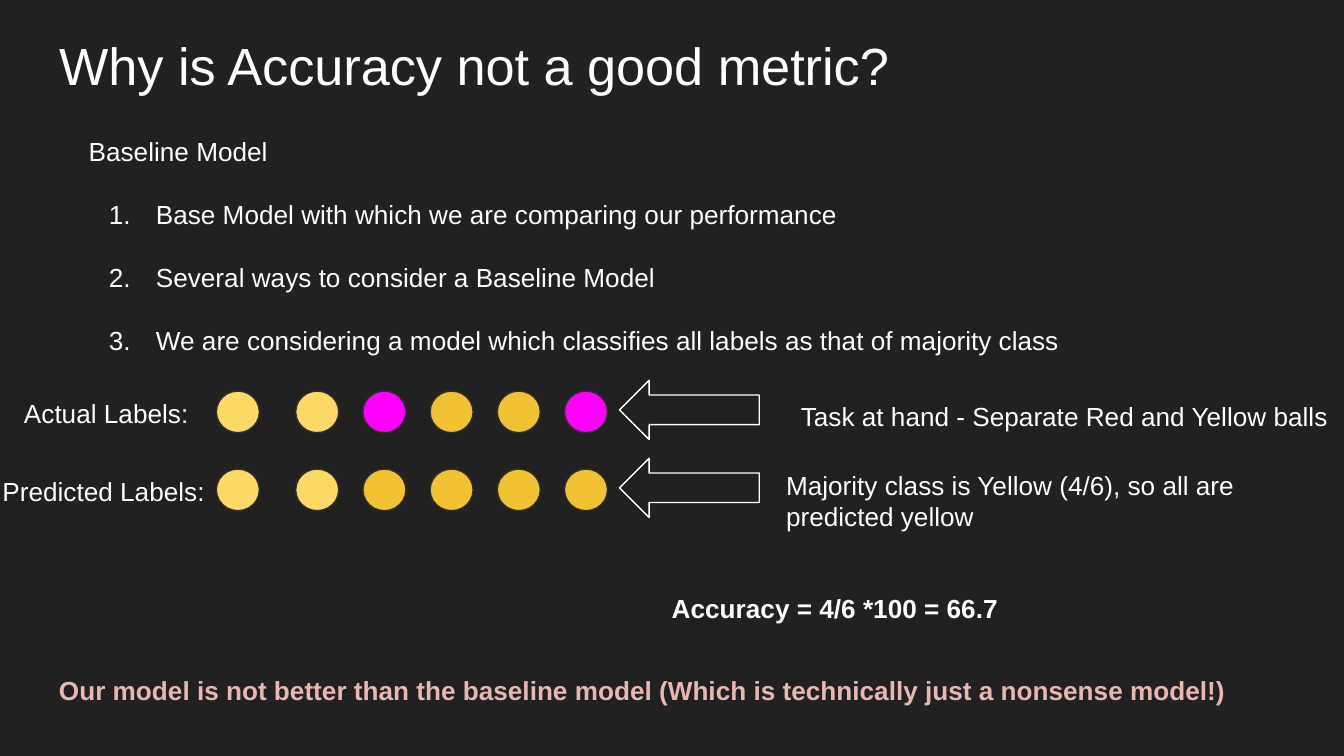
from dataclasses import dataclass

from pptx import Presentation
from pptx.dml.color import RGBColor as Rgb
from pptx.enum.shapes import MSO_SHAPE as Kind
from pptx.enum.text import MSO_ANCHOR as Anchor, MSO_AUTO_SIZE as Fit, PP_ALIGN as Align
from pptx.oxml.ns import qn
from pptx.util import Inches, Pt
from lxml.etree import SubElement as sub


@dataclass(frozen=True)
class Theme:
    back: str = "212121"
    text: str = "FFFFFF"
    note: str = "E6B8AF"
    edge: str = "303030"
    pale: str = "FFD966"
    gold: str = "F1C232"
    pink: str = "FF00FF"
    font: str = "Arial"
    head: int = 28
    body: int = 14
    gap: float = 16.8
    line: float = 0.75


class Deck:
    """Holds the theme and the current slide and adds elements to it."""

    def __init__(self, theme):
        self.theme = theme
        self.file = Presentation()
        self.file.slide_width = Inches(10)
        self.file.slide_height = Inches(10) * 9 // 16
        self.slide = self.file.slides.add_slide(self.file.slide_layouts[1])
        fill = self.slide.background.fill
        fill.solid()
        fill.fore_color.rgb = Rgb.from_string(theme.back)

    def place(self, shape, box):
        shape.left, shape.top, shape.width, shape.height = map(Inches, box)

    def frame(self, shape):
        frame = shape.text_frame
        frame.word_wrap = True
        frame.auto_size = Fit.NONE
        frame.vertical_anchor = Anchor.TOP
        frame.margin_left = frame.margin_right = Inches(0.1)
        frame.margin_top = frame.margin_bottom = Inches(0.1)
        return frame

    def style(self, para, size, tone, bold=False):
        para.alignment = Align.LEFT
        for run in para.runs:
            font = run.font
            font.name, font.size, font.bold = self.theme.font, Pt(size), bold
            font.color.rgb = Rgb.from_string(tone)

    def title(self, box, text):
        shape = self.slide.shapes.title
        self.place(shape, box)
        frame = self.frame(shape)
        frame.text = text
        self.style(frame.paragraphs[0], self.theme.head, self.theme.text)

    def list(self, box, lead, items):
        shape = self.slide.placeholders[1]
        self.place(shape, box)
        frame = self.frame(shape)
        frame.text = "\n".join([lead, *items])
        for i, para in enumerate(frame.paragraphs):
            para.space_before = Pt(self.theme.gap if i else 0)
            prop = para._p.get_or_add_pPr()
            prop.set("marL", str(Inches(0.5 if i else 0)))
            prop.set("indent", str(Inches(-0.35 if i else 0)))
            if i:
                tone = sub(prop, qn("a:buClr"))
                sub(tone, qn("a:srgbClr"), val=self.theme.text)
                sub(prop, qn("a:buFont"), typeface=self.theme.font)
                sub(prop, qn("a:buAutoNum"), type="arabicPeriod")
            else:
                sub(prop, qn("a:buNone"))
            self.style(para, self.theme.body, self.theme.text)

    def label(self, box, text, tone=None, bold=False):
        frame = self.frame(self.slide.shapes.add_textbox(*map(Inches, box)))
        frame.text = text
        self.style(frame.paragraphs[0], self.theme.body, tone or self.theme.text, bold)

    def shape(self, kind, box, edge, fill=None):
        shape = self.slide.shapes.add_shape(kind, *map(Inches, box))
        shape.shadow.inherit = False
        if fill:
            shape.fill.solid()
            shape.fill.fore_color.rgb = Rgb.from_string(fill)
        else:
            shape.fill.background()
        shape.line.color.rgb = Rgb.from_string(edge)
        shape.line.width = Pt(self.theme.line)

    def balls(self, top, tones):
        for i, tone in enumerate(tones):
            left = 1.7 + 0.5 * i if i else 1.61
            self.shape(Kind.FLOWCHART_CONNECTOR, (left, top, 0.32, 0.31), self.theme.edge, tone)

    def arrow(self, top):
        self.shape(Kind.LEFT_ARROW, (4.61, top, 1.04, 0.44), self.theme.text)

    def save(self):
        self.file.save("out.pptx")


def main():
    theme = Theme()
    deck = Deck(theme)
    pale, gold, pink = theme.pale, theme.gold, theme.pink
    deck.title((0.34, 0.15, 9.32, 0.63), "Why is Accuracy not a good metric?")
    deck.list((0.56, 0.91, 8.54, 0.81), "Baseline Model", [
        "Base Model with which we are comparing our performance",
        "Several ways to consider a Baseline Model",
        "We are considering a model which classifies all labels as that of majority class",
    ])
    rows = [
        ((0.08, 2.86, 1.51, 0.44), "Actual Labels:",
         [pale, pale, pink, gold, gold, pink],
         (5.86, 2.88, 4.22, 0.44), "Task at hand - Separate Red and Yellow balls"),
        ((-0.08, 3.44, 1.73, 0.44), "Predicted Labels:",
         [pale, pale, gold, gold, gold, gold],
         (5.75, 3.39, 4.38, 0.44), "Majority class is Yellow (4/6), so all are predicted yellow"),
    ]
    for i, (spot, name, tones, side, note) in enumerate(rows):
        top = 2.91 + 0.58 * i
        deck.label(spot, name)
        deck.balls(top, tones)
        deck.arrow(top - 0.08)
        deck.label(side, note)
    deck.label((4.9, 4.31, 4.06, 0.44), "Accuracy = 4/6 *100 = 66.7", bold=True)
    deck.label((0.34, 4.92, 9.32, 0.44),
               "Our model is not better than the baseline model "
               "(Which is technically just a nonsense model!)", theme.note, True)
    deck.save()


if __name__ == "__main__":
    main()
